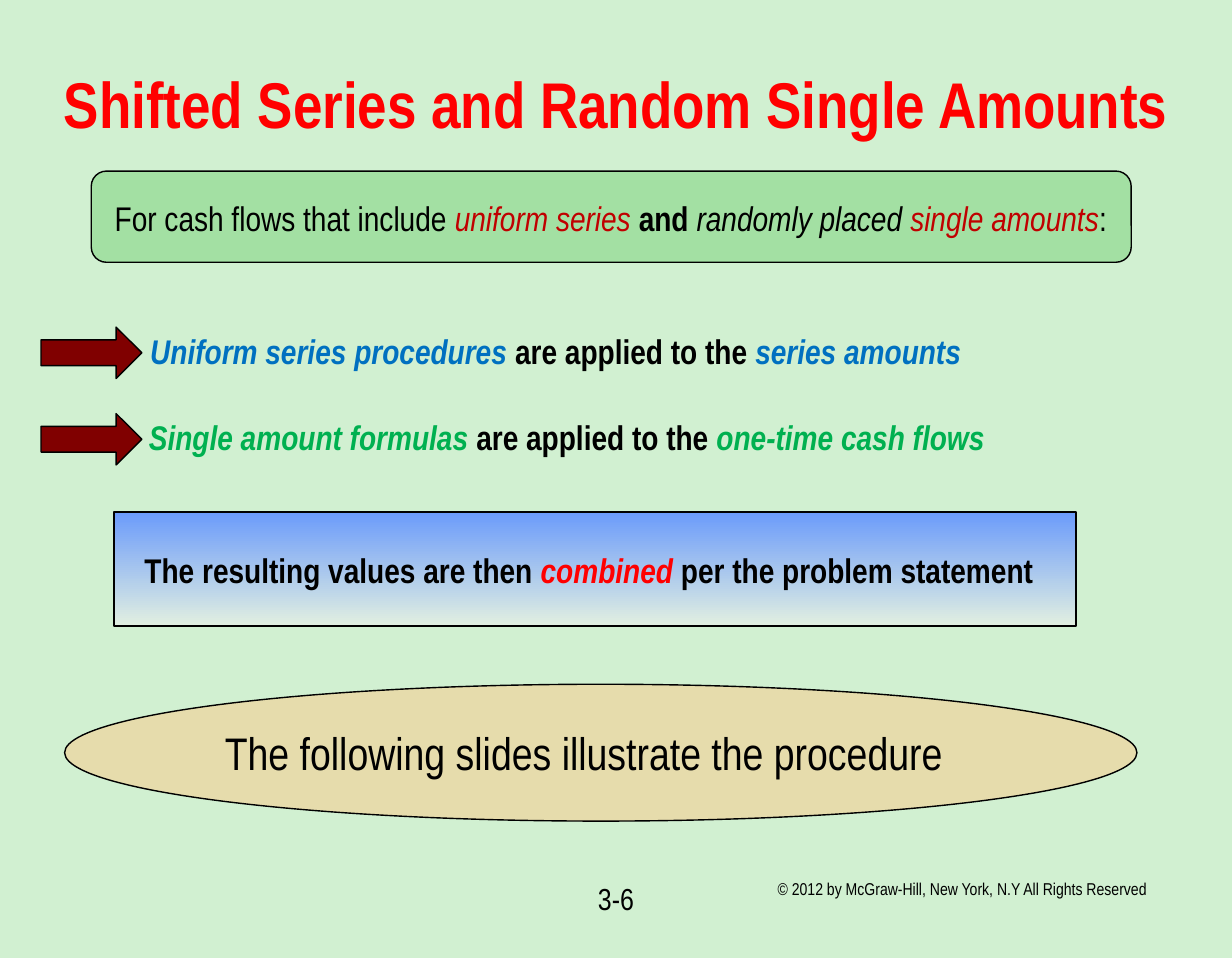
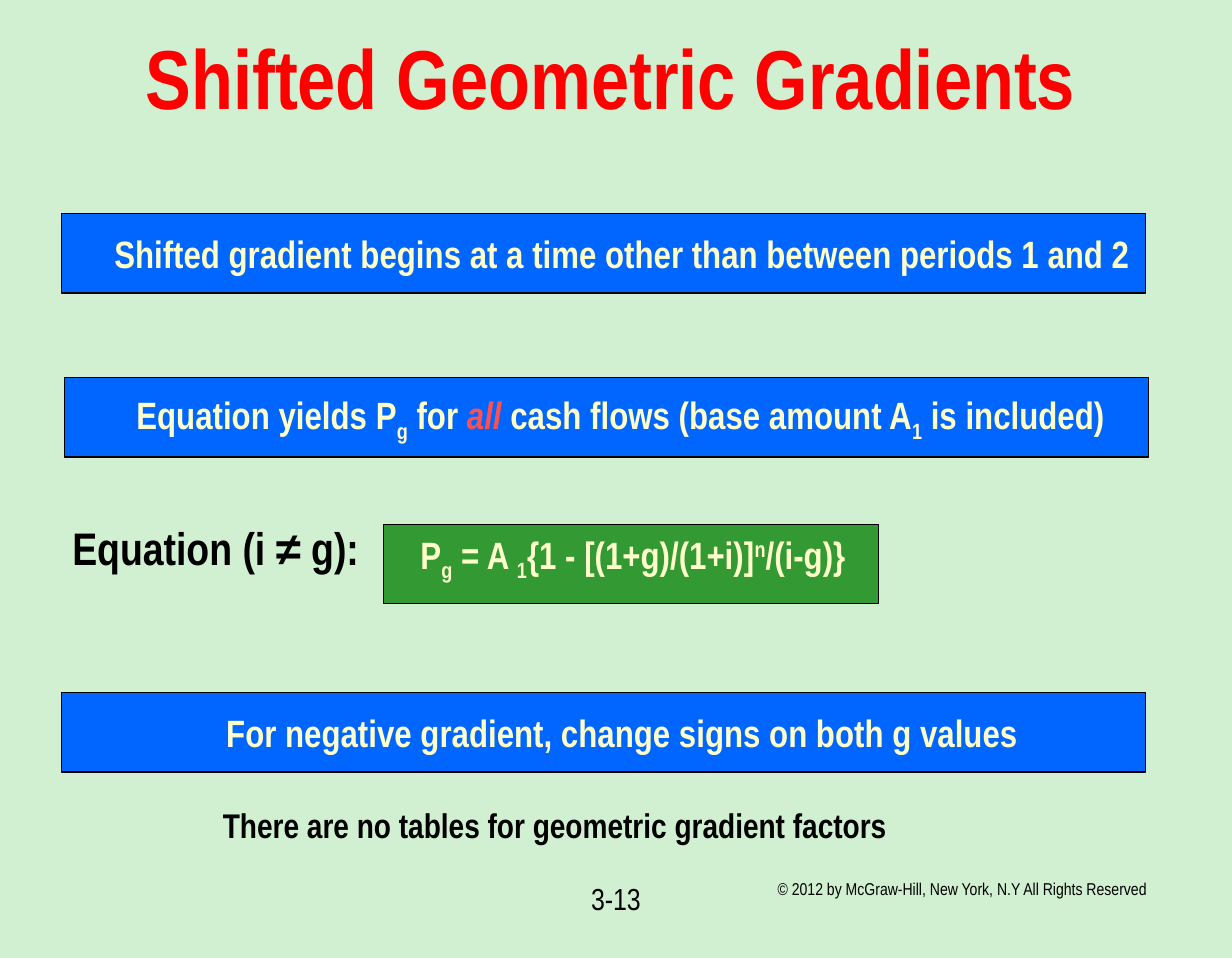
from pptx import Presentation
from pptx.dml.color import RGBColor
from pptx.enum.shapes import MSO_SHAPE
from pptx.enum.text import MSO_ANCHOR, PP_ALIGN
from pptx.util import Pt

FONT = "Arial Narrow"
BLACK, RED, CREAM = "000000", "FF0000", "FFFFCC"
BACKGROUND, BAR_BLUE, EQUATION_GREEN = "D1F0D1", "0066FF", "339933"
INSETS = (7, 3.6, 7, 3.6)
COPYRIGHT = "© 2012 by McGraw-Hill, New York, N.Y All Rights Reserved"

STYLES = {
    "crimson": {"color": "C00000", "italic": True},
    "italic": {"italic": True},
    "bold": {"bold": True},
    "blue": {"color": "0070C0", "italic": True},
    "green": {"color": "00B050", "italic": True},
    "red": {"color": RED, "italic": True},
    "coral": {"color": "FF5050", "italic": True},
    "sub": {"baseline": -25000},
    "super": {"baseline": 30000},
}

CASH_FLOWS = ["For cash flows that include ", ("uniform series ", "crimson"), ("and ", "bold"),
              ("randomly placed ", "italic"), ("single amounts", "crimson"), ":"]
PROCEDURES = [
    [("Uniform series procedures ", "blue"), "are applied to the ", ("series amounts", "blue")],
    [("Single amount formulas", "green"), " are applied to the ", ("one-time cash flows", "green")],
]
COMBINED = ["The resulting values are then ", ("combined", "red"), " per the problem statement"]
FOLLOWING = ["The following slides illustrate the procedure"]

GRADIENT_FACTS = [
    (32.4, 112.3, ["Shifted gradient begins at a time other than between periods 1 and 2"]),
    (33.8, 198.7, ["Equation yields P", ("g", "sub"), " for ", ("all ", "coral"),
                   "cash flows (base amount A", ("1", "sub"), " is included) "]),
    (32.4, 364.3, ["For negative gradient, change signs on both g values"]),
]
EQUATION = ["P", ("g", "sub"), " = A ", ("1", "sub"), "{1 - [(1+g)/(1+i)]", ("n", "super"), "/(i-g)}"]


def rgb(value):
    """Turn a hex string into a colour."""
    return RGBColor.from_string(value)


def write(shape, runs, size, color=BLACK, bold=False, align=PP_ALIGN.LEFT,
          anchor=MSO_ANCHOR.TOP, insets=INSETS):
    """Fill a shape with one paragraph of styled runs."""
    frame = shape.text_frame
    frame.word_wrap = True
    frame.vertical_anchor = anchor
    frame.margin_left, frame.margin_top, frame.margin_right, frame.margin_bottom = map(Pt, insets)
    paragraph = frame.paragraphs[0]
    paragraph.alignment = align
    font = paragraph.font
    font.name, font.size, font.bold = FONT, Pt(size), bold
    font.color.rgb = rgb(color)
    for part in runs:
        text, style = (part, None) if isinstance(part, str) else part
        run = paragraph.add_run()
        run.text = text
        look = STYLES.get(style, {})
        if "color" in look:
            run.font.color.rgb = rgb(look["color"])
        if "italic" in look:
            run.font.italic = True
        if "bold" in look:
            run.font.bold = True
        if "baseline" in look:
            run._r.get_or_add_rPr().set("baseline", str(look["baseline"]))


def add_label(slide, box, runs, size, **options):
    """Add a text box."""
    write(slide.shapes.add_textbox(*map(Pt, box)), runs, size, **options)


def add_block(slide, kind, box, *fills):
    """Add an outlined shape with a solid fill or a downward gradient."""
    block = slide.shapes.add_shape(kind, *map(Pt, box))
    block.shadow.inherit = False
    if len(fills) == 1:
        block.fill.solid()
        block.fill.fore_color.rgb = rgb(fills[0])
    else:
        block.fill.gradient()
        block.fill.gradient_angle = 270
        for stop, color in zip(block.fill.gradient_stops, fills):
            stop.color.rgb = rgb(color)
    block.line.color.rgb = rgb(BLACK)
    block.line.width = Pt(0.75)
    return block


def add_page(deck, title, title_box, title_size, number):
    """Start a slide with its title and footer."""
    slide = deck.slides.add_slide(deck.slide_layouts[6])
    add_label(slide, (402, 458.6, 228, 33), [COPYRIGHT], 9)
    add_label(slide, (281, 459.4, 86, 34), [number], 16, align=PP_ALIGN.CENTER)
    add_label(slide, title_box, [title], title_size, color=RED, bold=True,
              align=PP_ALIGN.CENTER, anchor=MSO_ANCHOR.MIDDLE)
    return slide


def build_series(deck):
    """Build the slide on series with single amounts."""
    slide = add_page(deck, "Shifted Series and Random Single Amounts", (18, 12, 612, 84), 34, "3-6")
    intro = add_block(slide, MSO_SHAPE.FLOWCHART_ALTERNATE_PROCESS, (48, 90, 547, 48), "A3E0A3")
    write(intro, CASH_FLOWS, 18, anchor=MSO_ANCHOR.MIDDLE, insets=(10, 5, 0, 3.6))
    for index, procedure in enumerate(PROCEDURES):
        top = 170 + 45.5 * index
        add_block(slide, MSO_SHAPE.RIGHT_ARROW, (21.6, top + 2.1, 53, 27), "800000")
        add_label(slide, (72 - 0.7 * index, top, 483, 29), procedure, 18, bold=True)
    result = add_block(slide, MSO_SHAPE.RECTANGLE, (60, 269.3, 506, 60), "6B9BFB", "E1EFE1")
    write(result, COMBINED, 18, bold=True, anchor=MSO_ANCHOR.MIDDLE, insets=(16, 5, 0, 3.6))
    closing = add_block(slide, MSO_SHAPE.OVAL, (34, 360, 564, 72), "E6DCAC")
    write(closing, FOLLOWING, 24, align=PP_ALIGN.CENTER, anchor=MSO_ANCHOR.MIDDLE, insets=(0, 3.6, 18, 3.6))


def build_gradients(deck):
    """Build the slide on geometric gradients."""
    slide = add_page(deck, "Shifted Geometric Gradients", (46, 13, 551, 54), 44, "3-13")
    for left, top, fact in GRADIENT_FACTS:
        bar = add_block(slide, MSO_SHAPE.RECTANGLE, (left, top, 570.2, 41.8), BAR_BLUE)
        write(bar, fact, 20, color=CREAM, bold=True, align=PP_ALIGN.CENTER,
              anchor=MSO_ANCHOR.MIDDLE, insets=(19.4, 3.6, 0, 3.6))
    formula = add_block(slide, MSO_SHAPE.RECTANGLE, (201.6, 275.8, 260.6, 41.8), EQUATION_GREEN)
    write(formula, EQUATION, 20, color=CREAM, bold=True, align=PP_ALIGN.CENTER, insets=(8, 3.6, 6, 3.6))
    add_label(slide, (31, 270, 170, 36), ["Equation (i ≠ g):"], 24, bold=True)
    add_label(slide, (110.2, 419.8, 400, 29), ["There are no tables for geometric gradient factors"], 18, bold=True)


def main():
    """Build and save the deck."""
    deck = Presentation()
    deck.slide_width, deck.slide_height = Pt(648), Pt(504)
    backdrop = deck.slide_master.background.fill
    backdrop.solid()
    backdrop.fore_color.rgb = rgb(BACKGROUND)
    build_series(deck)
    build_gradients(deck)
    deck.save("out.pptx")


if __name__ == "__main__":
    main()
